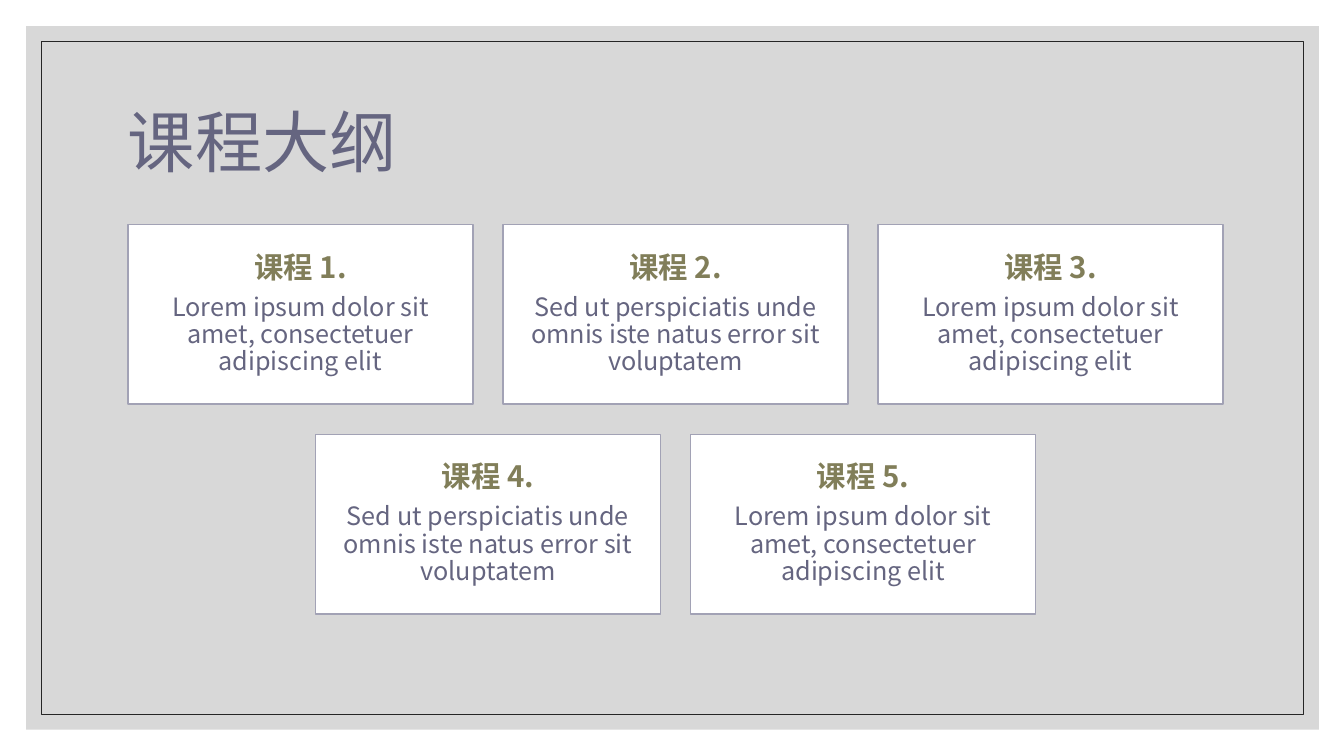
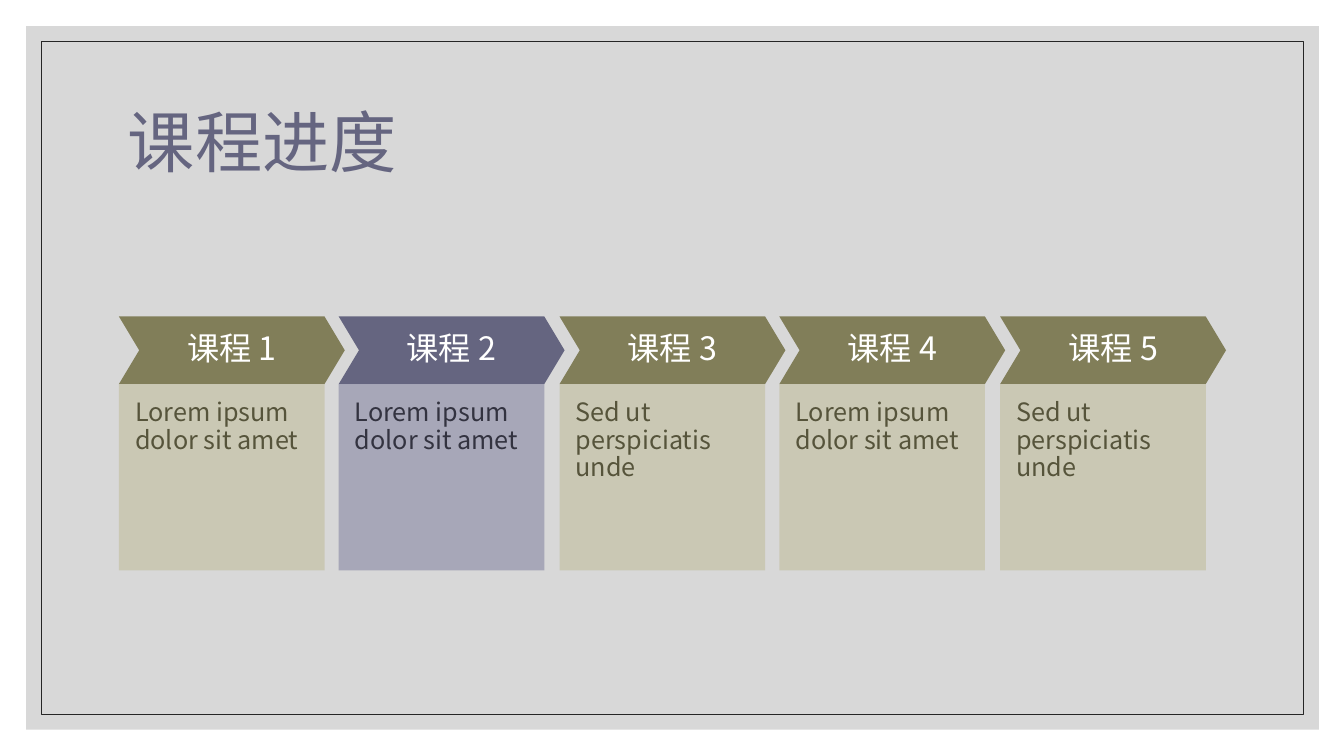
"""Build a course outline slide and a course progress slide."""
from pptx import Presentation
from pptx.dml.color import RGBColor
from pptx.enum.shapes import MSO_SHAPE
from pptx.enum.text import MSO_ANCHOR, PP_ALIGN
from pptx.oxml.ns import qn
from pptx.util import Pt
from lxml.etree import SubElement

PX = 9144
FONT = "Noto Sans CJK SC"
WHITE = RGBColor(0xFF, 0xFF, 0xFF)
GREY = RGBColor(0xBF, 0xBF, 0xBF)
BLACK = RGBColor(0x26, 0x26, 0x26)
SLATE = RGBColor(0x65, 0x65, 0x80)
LILAC = RGBColor(0xA2, 0xA2, 0xB5)
NAVY = RGBColor(0x33, 0x33, 0x40)
OLIVE = RGBColor(0x81, 0x7E, 0x59)
SAND = RGBColor(0xC9, 0xC7, 0xB1)
MOSS = RGBColor(0x56, 0x54, 0x3B)

LOREM = "Lorem ipsum dolor sit amet, consectetuer adipiscing elit"
SED = "Sed ut perspiciatis unde omnis iste natus error sit voluptatem"
ROWS = [
    [("课程 1.", LOREM), ("课程 2.", SED), ("课程 3.", LOREM)],
    [("课程 4.", SED), ("课程 5.", LOREM)],
]
PLAIN = (OLIVE, SAND, MOSS)
NOW = (SLATE, LILAC, NAVY)
STEPS = [
    ("课程 1", "Lorem ipsum dolor sit amet", PLAIN),
    ("课程 2", "Lorem ipsum dolor sit amet", NOW),
    ("课程 3", "Sed ut perspiciatis unde", PLAIN),
    ("课程 4", "Lorem ipsum dolor sit amet", PLAIN),
    ("课程 5", "Sed ut perspiciatis unde", PLAIN),
]


def write(shape, text, size=18, color=SLATE, bold=False, align=PP_ALIGN.CENTER,
          anchor=MSO_ANCHOR.MIDDLE, inset=(8, 8, 8, 8), after=0, more=False):
    """Write one paragraph into a shape, after its text if more is set."""
    frame = shape.text_frame
    frame.word_wrap = True
    frame.vertical_anchor = anchor
    (frame.margin_left, frame.margin_top,
     frame.margin_right, frame.margin_bottom) = [n * PX for n in inset]
    para = frame.add_paragraph() if more else frame.paragraphs[0]
    para.alignment = align
    para.line_spacing = 0.9
    para.space_after = Pt(after)
    run = para.add_run()
    run.text = text
    font = run.font
    font.name, font.size, font.bold = FONT, Pt(size), bold
    font.color.rgb = color
    SubElement(run._r.get_or_add_rPr(), qn("a:ea"), typeface=FONT)


def block(slide, box, fill=None, line=None, width=1, alpha=100,
          kind=MSO_SHAPE.RECTANGLE):
    """Add a flat preset shape."""
    shape = slide.shapes.add_shape(kind, *[n * PX for n in box])
    shape.shadow.inherit = False
    if fill is None:
        shape.fill.background()
    else:
        shape.fill.solid()
        shape.fill.fore_color.rgb = fill
        if alpha < 100:
            tint = shape.fill._xPr.find(".//" + qn("a:srgbClr"))
            SubElement(tint, qn("a:alpha"), val=str(alpha * 1000))
    if line is None:
        shape.line.fill.background()
    else:
        shape.line.color.rgb = line
        shape.line.width = Pt(width)
    return shape


def start(deck, title):
    """Add a slide with the shared frame and title."""
    slide = deck.slides.add_slide(deck.slide_layouts[6])
    block(slide, (26, 26, 1282, 698), GREY, alpha=60)
    block(slide, (41, 41, 1252, 668), line=BLACK, width=0.5)
    head = slide.shapes.add_textbox(*[n * PX for n in (117, 70, 1100, 150)])
    write(head, title, size=48, align=PP_ALIGN.LEFT, inset=(10, 5, 10, 5))
    return slide


def outline(deck):
    """Lay out the course cards in centred rows."""
    slide = start(deck, "课程大纲")
    wide, high, gap, mid, top = 342, 178, 30, 670, 223
    pad = (8, 9, 8, 9)
    for r, row in enumerate(ROWS):
        left = mid - (len(row) * (wide + gap) - gap) // 2
        for c, (name, text) in enumerate(row):
            box = (left + c * (wide + gap), top + r * (high + gap), wide, high)
            card = block(slide, box, WHITE, LILAC)
            write(card, name, size=21, color=OLIVE, bold=True, inset=pad, after=7)
            write(card, text, inset=pad, after=6, more=True)


def progress(deck):
    """Lay out the course steps from left to right."""
    slide = start(deck, "课程进度")
    left, top, high, span = 118, 314, 67, 874
    for i, (name, text, (dark, light, ink)) in enumerate(STEPS):
        x = left + i * span // (len(STEPS) - 1)
        arrow = block(slide, (x, top, 224, high), dark, kind=MSO_SHAPE.CHEVRON)
        arrow.adjustments[0] = 0.3
        write(arrow, name, size=23, color=WHITE, after=8)
        body = block(slide, (x, top + high, 204, 185), light, alpha=90)
        write(body, text, color=ink, align=PP_ALIGN.LEFT, anchor=MSO_ANCHOR.TOP,
              inset=(16, 16, 16, 32), after=6)


def main():
    """Build and save the deck."""
    deck = Presentation()
    deck.slide_width, deck.slide_height = 1333 * PX, 750 * PX
    outline(deck)
    progress(deck)
    deck.save("out.pptx")


if __name__ == "__main__":
    main()
